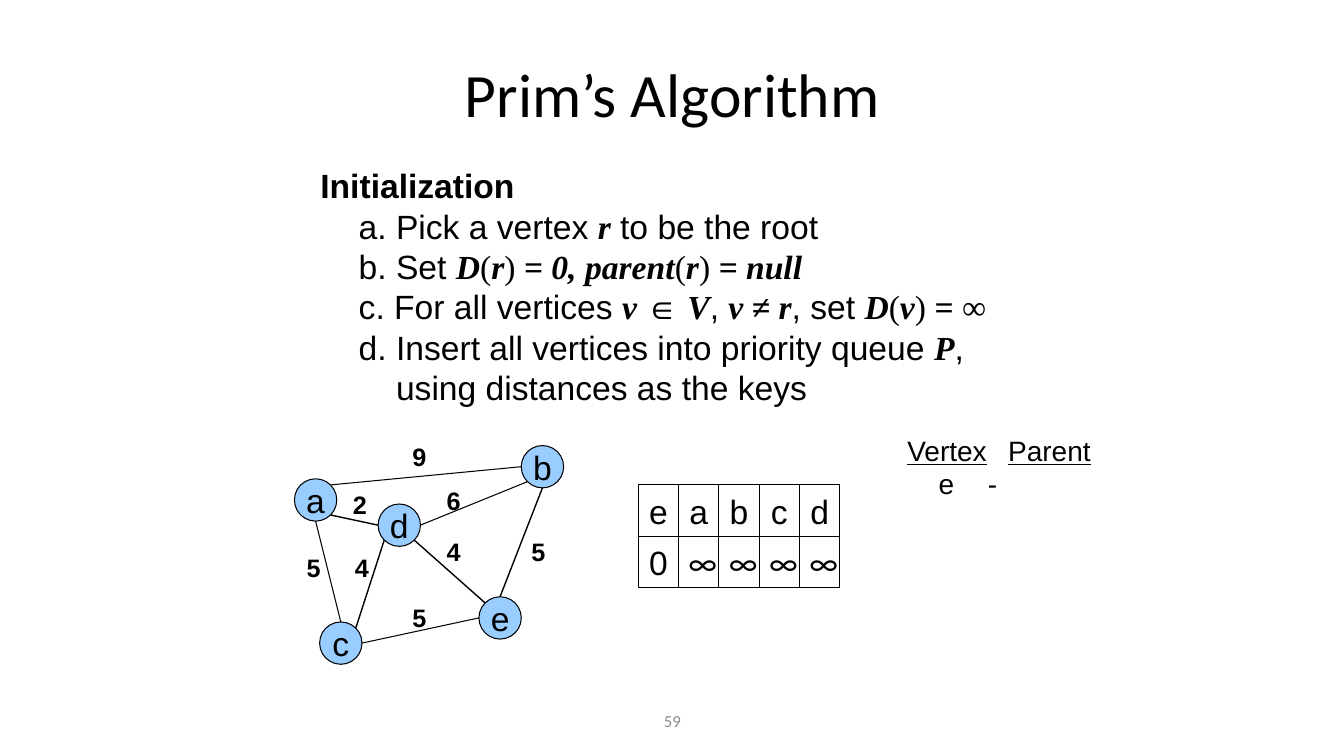
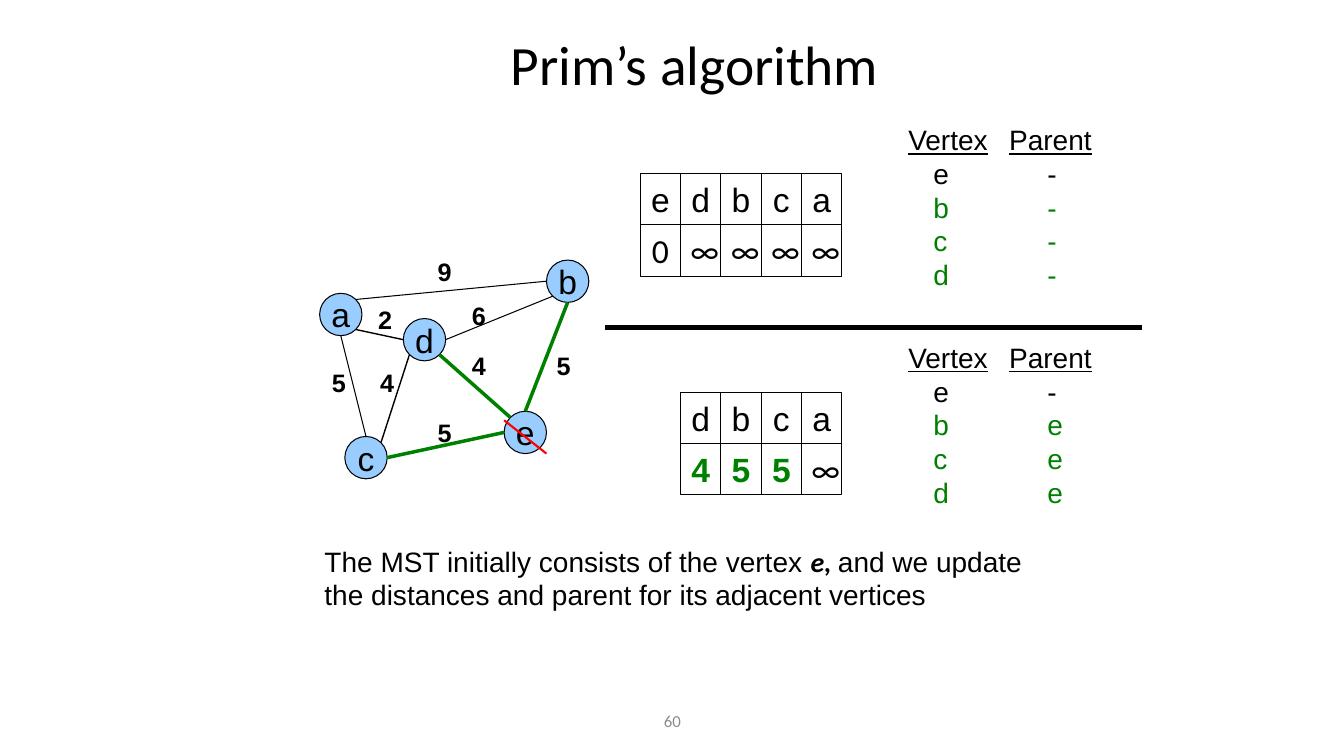
from dataclasses import dataclass
from typing import NamedTuple

from lxml import etree
from pptx import Presentation
from pptx.dml.color import RGBColor
from pptx.enum.shapes import MSO_CONNECTOR, MSO_SHAPE
from pptx.enum.text import MSO_ANCHOR, PP_ALIGN
from pptx.oxml.ns import qn
from pptx.util import Inches, Pt

LEFT, CENTER = PP_ALIGN.LEFT, PP_ALIGN.CENTER
TOP, MIDDLE = MSO_ANCHOR.TOP, MSO_ANCHOR.MIDDLE
STRAIGHT = MSO_CONNECTOR.STRAIGHT
OVAL, RECTANGLE = MSO_SHAPE.OVAL, MSO_SHAPE.RECTANGLE


@dataclass(frozen=True)
class Theme:
    black: str = "000000"
    grey: str = "8C8C8C"
    node: str = "99CCFF"
    green: str = "008000"
    red: str = "FF0000"
    sans: str = "Arial"
    heading: str = "Calibri"
    math: str = "Times New Roman"
    title: float = 44
    small_title: float = 39.6
    body: float = 24
    note: float = 20
    label: float = 18
    footer: float = 12


T = Theme()


class Run(NamedTuple):
    text: str
    fmt: dict = {}


class Para(NamedTuple):
    runs: list
    indent: float = 0
    tabs: tuple = ()


class Node(NamedTuple):
    x: float
    y: float


class Edge(NamedTuple):
    start: str
    start_side: str
    end: str
    end_side: str
    weight: str
    label_x: float
    label_y: float
    width: float = 0.75


class Key(NamedTuple):
    vertex: str
    value: str = "∞"
    font: str = T.heading
    updated: bool = False


# Graph, measured from its top left corner
NODE_SIZE = 0.42
NODES = {
    "a": Node(0, 0.33),
    "c": Node(0.25, 1.75),
    "e": Node(1.83, 1.5),
    "d": Node(0.83, 0.58),
    "b": Node(2.25, 0),
}
EDGES = [
    Edge("a", "ne", "b", "w", "9", 1.07, -0.09),
    Edge("d", "e", "b", "sw", "6", 1.41, 0.35),
    Edge("a", "s", "c", "n", "5", 0.02, 1.01),
    Edge("a", "se", "d", "w", "2", 0.48, 0.39, 1),
    Edge("c", "ne", "d", "sw", "4", 0.5, 1.01, 1),
    Edge("d", "se", "e", "nw", "4", 1.41, 0.85, 1),
    Edge("b", "s", "e", "n", "5", 2.25, 0.85, 1),
    Edge("e", "w", "c", "e", "5", 1.07, 1.51),
]


# Text
def add_run(p, text: str, *, size: float = T.body, font: str = T.sans,
            color: str = T.black, bold: bool = False, italic: bool = False,
            underline: bool = False) -> None:
    r = p.add_run()
    r.text = text
    f = r.font
    f.size, f.name = Pt(size), font
    f.bold, f.italic, f.underline = bold, italic, underline
    f.color.rgb = RGBColor.from_string(color)


def add_text(s, x: float, y: float, w: float, h: float, paras: list, *,
             align=LEFT, anchor=TOP, side: float = 0.1, **fmt) -> None:
    tf = s.shapes.add_textbox(Inches(x), Inches(y), Inches(w), Inches(h)).text_frame
    tf.word_wrap, tf.vertical_anchor = True, anchor
    tf.margin_left = tf.margin_right = Inches(side)
    for i, para in enumerate(paras):
        p = tf.paragraphs[0] if i == 0 else tf.add_paragraph()
        p.alignment = align
        pPr = p._p.get_or_add_pPr()
        if para.indent:
            pPr.set("marL", str(Inches(para.indent)))
            pPr.set("indent", "0")
        if para.tabs:
            tabs = etree.SubElement(pPr, qn("a:tabLst"))
            for pos in para.tabs:
                etree.SubElement(tabs, qn("a:tab"), pos=str(Inches(pos)), algn="l")
        for run in para.runs:
            add_run(p, run.text, **{**fmt, **run.fmt})


def line_of(text: str) -> list:
    return [Para([Run(text)])]


def math(text: str) -> Run:
    return Run(text, {"font": T.math, "bold": True, "italic": True})


def bracketed(arg: str) -> list:
    """Argument of a function, in upright brackets."""
    upright = {"font": T.math}
    return [Run("(", upright), math(arg), Run(")", upright)]


# Lines, graph and queues
def add_line(s, x1: float, y1: float, x2: float, y2: float, *,
             color: str = T.black, width: float = 0.75) -> None:
    c = s.shapes.add_connector(STRAIGHT, Inches(x1), Inches(y1), Inches(x2), Inches(y2))
    c.line.color.rgb = RGBColor.from_string(color)
    c.line.width = Pt(width)
    etree.SubElement(c._element.spPr, qn("a:effectLst"))


def add_symbol(s, kind, x: float, y: float, w: float, h: float, text: str, *,
               fill: str = "", side: float = 0, **fmt) -> None:
    """Outlined shape with one centred symbol."""
    sp = s.shapes.add_shape(kind, Inches(x), Inches(y), Inches(w), Inches(h))
    sp.shadow.inherit = False
    if fill:
        sp.fill.solid()
        sp.fill.fore_color.rgb = RGBColor.from_string(fill)
    else:
        sp.fill.background()
    sp.line.color.rgb = RGBColor.from_string(T.black)
    sp.line.width = Pt(0.75)
    tf = sp.text_frame
    tf.word_wrap, tf.vertical_anchor = bool(side), MIDDLE
    tf.margin_left = tf.margin_right = Inches(side)
    tf.margin_top = tf.margin_bottom = 0
    p = tf.paragraphs[0]
    p.alignment = CENTER
    add_run(p, text, **fmt)


def rim_point(name: str, side: str) -> tuple[float, float]:
    """Point of a node's rim in a compass direction."""
    dx = ("e" in side) - ("w" in side)
    dy = ("s" in side) - ("n" in side)
    reach = NODE_SIZE / 2 * (0.71 if dx and dy else 1)
    node = NODES[name]
    return node.x + NODE_SIZE / 2 + dx * reach, node.y + NODE_SIZE / 2 + dy * reach


def add_graph(s, x: float, y: float, chosen: str = "") -> None:
    """Draw the graph; edges that touch the chosen vertex are green."""
    for name, node in NODES.items():
        add_symbol(s, OVAL, x + node.x, y + node.y, NODE_SIZE, NODE_SIZE, name,
                   fill=T.node)
    for edge in EDGES:
        x1, y1 = rim_point(edge.start, edge.start_side)
        x2, y2 = rim_point(edge.end, edge.end_side)
        active = chosen in (edge.start, edge.end)
        add_line(s, x + x1, y + y1, x + x2, y + y2,
                 color=T.green if active else T.black,
                 width=2.5 if active else edge.width)
        add_text(s, x + edge.label_x, y + edge.label_y, 0.34, 0.4,
                 line_of(edge.weight), align=CENTER, side=0, size=T.label, bold=True)


def add_queue(s, x: float, y: float, keys: list) -> None:
    """Priority queue: vertices above their distances."""
    w, h = 0.4, 0.51
    for col, key in enumerate(keys):
        left = x + col * w
        add_symbol(s, RECTANGLE, left, y, w, h, key.vertex, side=0.1)
        add_symbol(s, RECTANGLE, left, y + h, w, h, key.value, side=0.1,
                   font=key.font, bold=key.updated,
                   color=T.green if key.updated else T.black)


def add_parents(s, x: float, y: float, rows: list, tabs: tuple) -> None:
    """List of vertices and parents; all rows after the first are green."""
    under = {"underline": True}
    paras = [Para([Run("Vertex", under), Run("\t"), Run("Parent", under)], tabs=(1,))]
    for i, (vertex, parent) in enumerate(rows):
        fmt = {"color": T.green if i else T.black}
        paras.append(Para([Run(f"\t{vertex}\t{parent}", fmt)], tabs=tabs))
    add_text(s, x, y, 2.02, 0.44 + 0.33 * len(rows), paras, size=T.note)


def add_slide(prs, title: str, number: int, box: tuple, size: float):
    s = prs.slides.add_slide(prs.slide_layouts[6])
    add_text(s, *box, line_of(title), align=CENTER, anchor=MIDDLE,
             size=size, font=T.heading)
    add_text(s, 4.56, 6.95, 4.22, 0.4, line_of(str(number)), align=CENTER,
             anchor=MIDDLE, size=T.footer, font=T.heading, color=T.grey)
    return s


# Slides
def initialization_slide(prs) -> None:
    s = add_slide(prs, "Prim’s Algorithm", 59, (0.67, 0.3, 12, 1.25), T.title)
    steps = [
        [Run("a. Pick a vertex "), math("r"), Run(" to be the root")],
        [Run("b. Set "), math("D"), *bracketed("r"), math(" = 0, parent"),
         *bracketed("r"), math(" = null")],
        [Run("c. For all vertices "), math("v "),
         Run("∈", {"font": T.math, "bold": True}), math(" V"), Run(", "),
         math("v ≠ r"), Run(", set "), math("D"), *bracketed("v"), math(" = ∞")],
        [Run("d. Insert all vertices into priority queue "), math("P"), Run(",")],
    ]
    add_text(s, 3.08, 1.59, 7.17, 2.52, [
        Para([Run("Initialization", {"bold": True})]),
        *[Para(step, indent=0.38) for step in steps],
        Para([Run("using distances as the keys")], indent=0.75),
    ])
    add_graph(s, 2.92, 4.42)
    add_queue(s, 6.33, 4.81, [Key("e", "0", T.sans), *map(Key, "abcd")])
    add_parents(s, 8.9, 4.25, [("e", "-")], (0.31, 0.8))


def first_vertex_slide(prs) -> None:
    s = add_slide(prs, "Prim’s algorithm", 60, (2.11, 0.25, 9.56, 0.75), T.small_title)
    x, y = 3.17, 2.58
    add_graph(s, x, y, chosen="e")
    e = NODES["e"]
    add_line(s, x + e.x, y + e.y + 0.09, x + e.x + NODE_SIZE, y + e.y + NODE_SIZE,
             color=T.red, width=1.5)

    # Before and after the update
    tabs = (0.25, 1.38)
    add_queue(s, 6.35, 1.72, [Key("e", "0"), *map(Key, "dbca")])
    add_parents(s, 8.91, 1.17, [(v, "-") for v in "ebcd"], tabs)
    add_line(s, 6, 3.25, 11.33, 3.25, width=3)
    updated = [Key(v, d, T.sans, True) for v, d in zip("dbc", "455")]
    add_queue(s, 6.75, 3.89, [*updated, Key("a")])
    add_parents(s, 8.91, 3.33, list(zip("ebcd", "-eee")), tabs)

    add_text(s, 3.12, 5.35, 7.17, 0.77, [
        Para([Run("The MST initially consists of the vertex "),
              Run("e, ", {"font": T.heading, "bold": True, "italic": True}),
              Run("and we update")]),
        Para([Run("the distances and parent for its adjacent vertices")]),
    ], size=T.note)


def main() -> None:
    prs = Presentation()
    prs.slide_width, prs.slide_height = Inches(13.33), Inches(7.5)
    initialization_slide(prs)
    first_vertex_slide(prs)
    prs.save("out.pptx")


if __name__ == "__main__":
    main()
